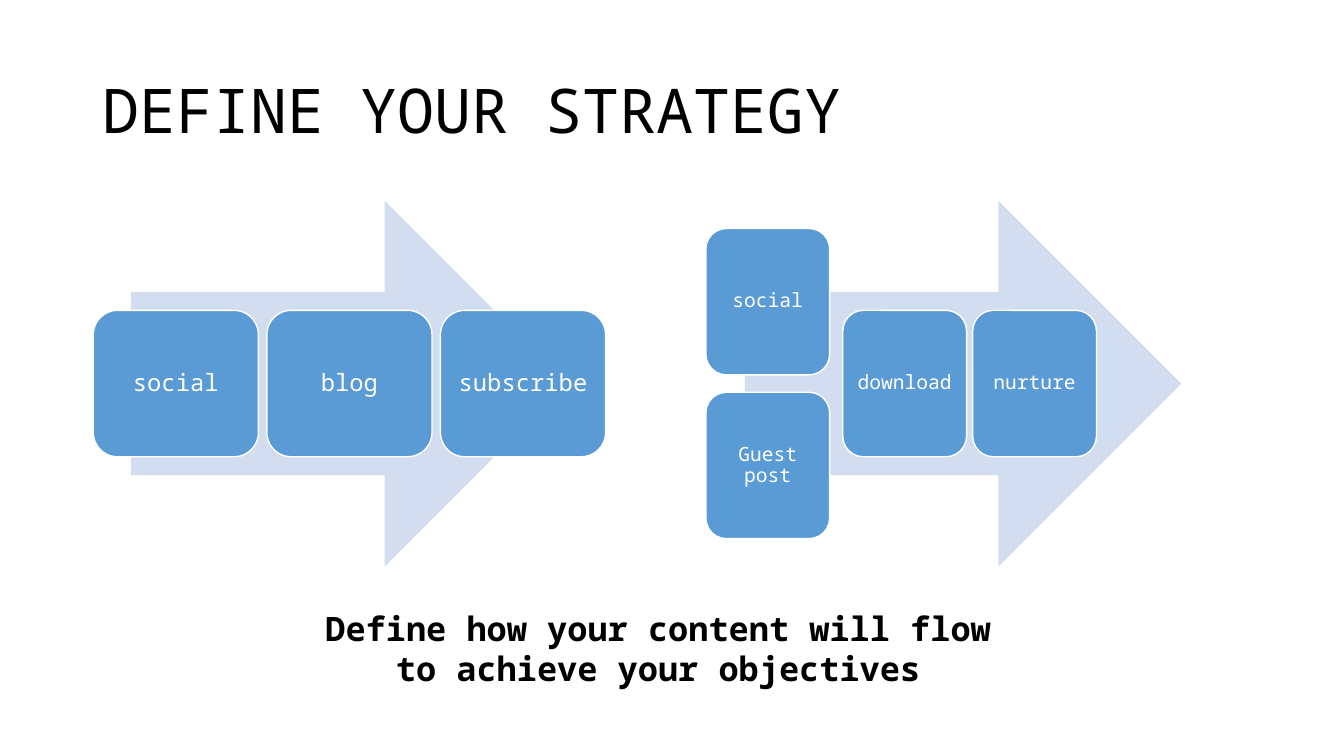
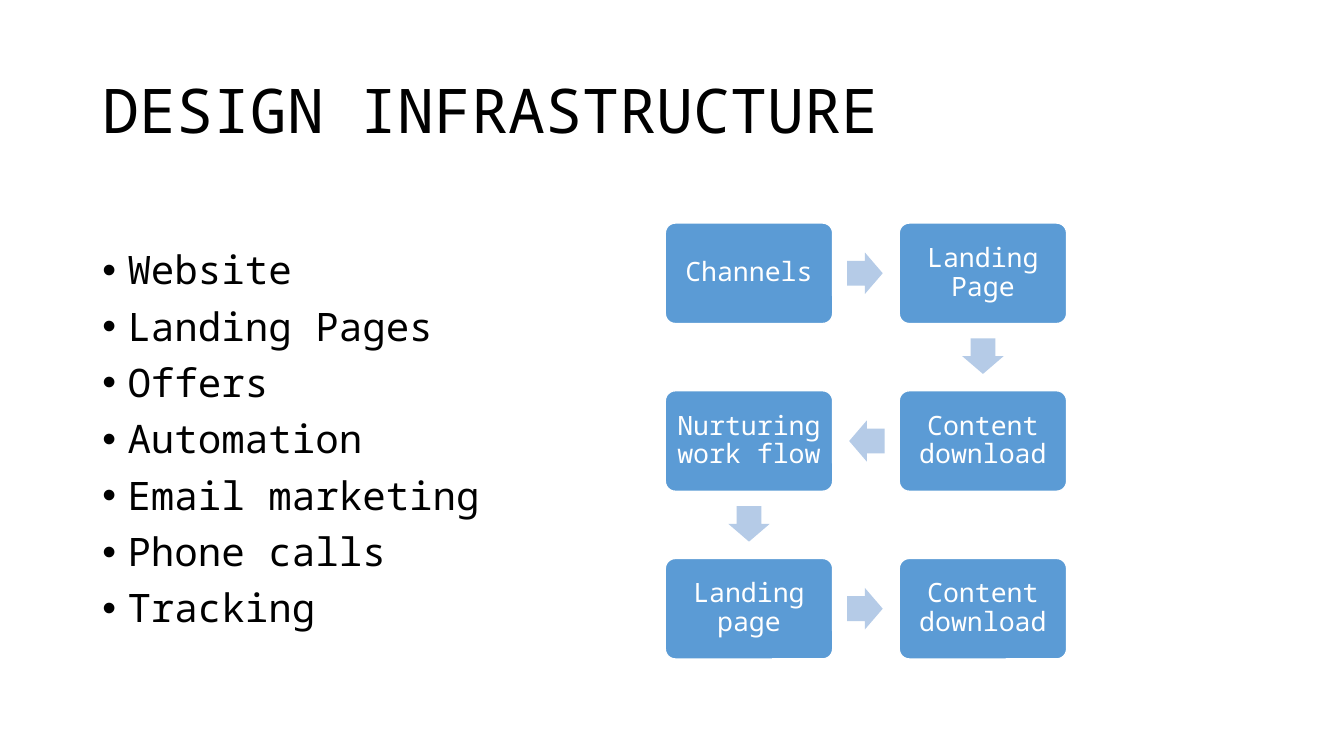
from lxml.etree import SubElement as Sub
from pptx import Presentation as Deck
from pptx.dml.color import RGBColor as Rgb
from pptx.enum.shapes import MSO_SHAPE as Kind
from pptx.enum.text import MSO_ANCHOR as Anchor, PP_ALIGN as Align
from pptx.oxml.ns import qn
from pptx.util import Pt

FONT = "Noto Sans Mono"
BLACK, WHITE = "000000", "FFFFFF"
BLUE, PALE, SOFT = "5B9BD5", "D2DEEF", "B5CBE7"
MID = 274


def tint(code):
    return Rgb.from_string(code)


def write(par, text, size, color=BLACK, bold=False, space=0.9):
    par.line_spacing = space
    run = par.add_run()
    run.text = text
    font = run.font
    font.name, font.size, font.bold = FONT, Pt(size), bold
    font.color.rgb = tint(color)


def area(slide, x, y, w, h):
    frame = slide.shapes.add_textbox(Pt(x), Pt(y), Pt(w), Pt(h)).text_frame
    frame.word_wrap = True
    return frame


def title(slide, text):
    frame = area(slide, 66, 28.75, 828, 104.4)
    frame.vertical_anchor = Anchor.MIDDLE
    write(frame.paragraphs[0], text, 44)


def note(slide, text):
    par = area(slide, 215, 430.5, 510, 65.5).paragraphs[0]
    par.alignment = Align.CENTER
    write(par, text, 24, bold=True, space=1)


def bullets(slide, items):
    frame = area(slide, 66, 175.7, 326, 279.4)
    for n, item in enumerate(items):
        par = frame.add_paragraph() if n else frame.paragraphs[0]
        par.space_before = Pt(10)
        write(par, item, 28)
        props = par._p.get_or_add_pPr()
        props.set("marL", str(Pt(18)))
        props.set("indent", str(-Pt(18)))
        Sub(props, qn("a:buFont")).set("typeface", "Arial")
        Sub(props, qn("a:buChar")).set("char", "•")


def shape(slide, kind, x, y, w, h, fill):
    item = slide.shapes.add_shape(kind, Pt(x), Pt(y), Pt(w), Pt(h))
    item.shadow.inherit = False
    item.fill.solid()
    item.fill.fore_color.rgb = tint(fill)
    item.line.fill.background()
    return item


def card(slide, text, x, y, w, h, size, pad, curve=0.1667):
    item = shape(slide, Kind.ROUNDED_RECTANGLE, x, y, w, h, BLUE)
    item.adjustments[0] = curve
    item.line.color.rgb = tint(WHITE)
    item.line.width = Pt(1)
    frame = item.text_frame
    frame.word_wrap = True
    frame.vertical_anchor = Anchor.MIDDLE
    frame.margin_left = frame.margin_right = Pt(pad)
    frame.margin_top = frame.margin_bottom = Pt(pad)
    par = frame.paragraphs[0]
    par.alignment = Align.CENTER
    write(par, text, size, WHITE)


def funnel(slide, left, cards, wide, size, pad):
    w, h, tall = 311.8, 261.4, 104.6
    shape(slide, Kind.RIGHT_ARROW, left, MID - h / 2, w, h, PALE)
    for text, x, shift in cards:
        card(slide, text, x, MID - tall / 2 + shift, wide, tall, size, pad)


def snake(slide, names):
    left, top, wide, tall, step, drop = 475.2, 159.3, 119.6, 71.8, 167.1, 119.8
    w, h, lag = 25.4, 29.6, 0.7
    mids = []
    for n, name in enumerate(names):
        row, col = divmod(n, 2)
        if row % 2:
            col = 1 - col
        x, y = left + col * step, top + row * drop
        card(slide, name, x, y, wide, tall, 19, 5.5, 0.1)
        mids.append((x + wide / 2, y + tall / 2))
    for (ax, ay), (bx, by) in zip(mids, mids[1:]):
        turn = 90 if by > ay else 0 if bx > ax else 180
        dx, dy = {0: (1, 0), 90: (0, 1), 180: (-1, 0)}[turn]
        x = (ax + bx) / 2 - lag * dx
        y = (ay + by) / 2 - lag * dy
        mark = shape(slide, Kind.RIGHT_ARROW, x - w / 2, y - h / 2, w, h, SOFT)
        mark.adjustments[0], mark.adjustments[1] = 0.6, 0.5
        mark.rotation = turn


def main():
    deck = Deck()
    deck.slide_width, deck.slide_height = Pt(960), Pt(540)
    blank = deck.slide_layouts[6]

    plan = deck.slides.add_slide(blank)
    title(plan, "DEFINE YOUR STRATEGY")
    names = ["social", "blog", "subscribe"]
    row = [(name, 66.6 + 124 * n, 0) for n, name in enumerate(names)]
    funnel(plan, 93.6, row, 118, 17, 5)
    fork = [("social", 504.2, -58.5), ("Guest post", 504.2, 58.5),
            ("download", 602, 0), ("nurture", 694.8, 0)]
    funnel(plan, 532, fork, 88.4, 14, 4.3)
    note(plan, "Define how your content will flow to achieve your objectives")

    build = deck.slides.add_slide(blank)
    title(build, "DESIGN INFRASTRUCTURE")
    bullets(build, ["Website", "Landing Pages", "Offers", "Automation",
                    "Email marketing", "Phone calls", "Tracking"])
    snake(build, ["Channels", "Landing Page", "Content download",
                  "Nurturing work flow", "Landing page", "Content download"])
    deck.save("out.pptx")


if __name__ == "__main__":
    main()
